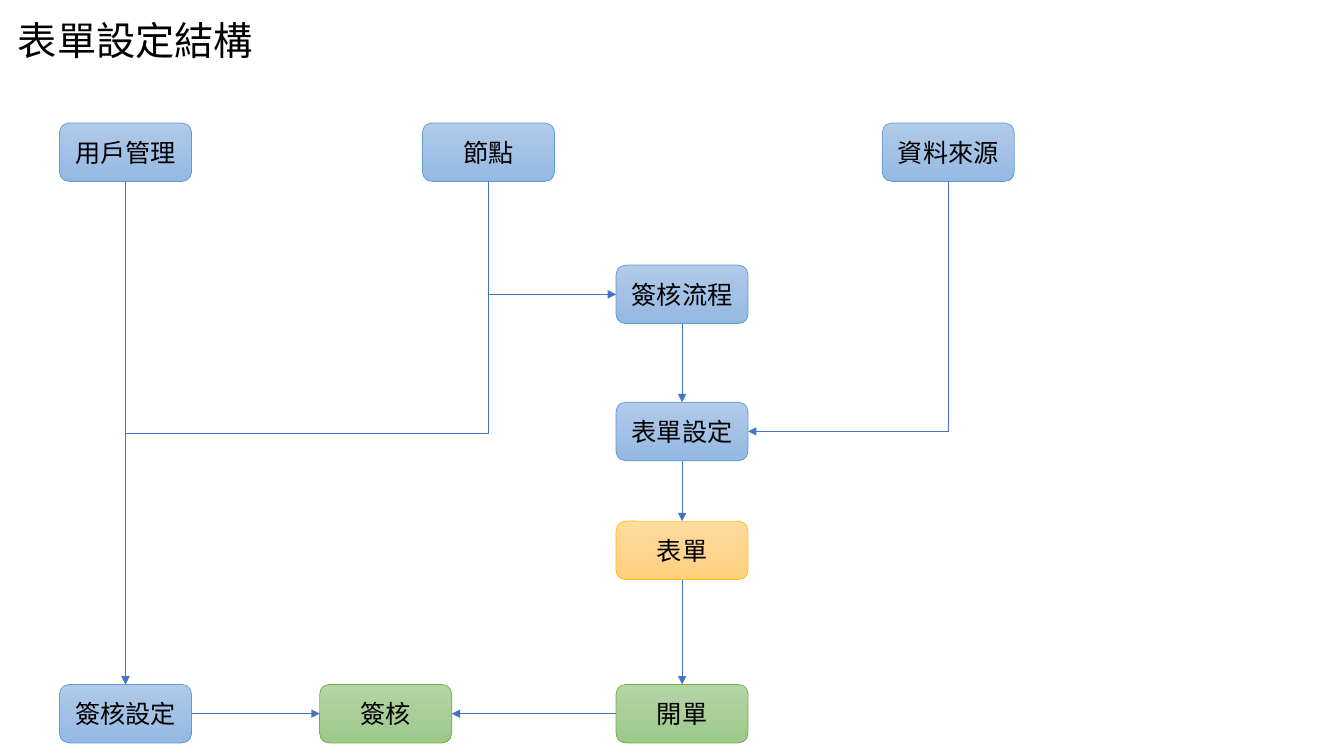
from copy import deepcopy
from dataclasses import dataclass

from pptx import Presentation
from pptx.dml.color import RGBColor
from pptx.enum.shapes import MSO_CONNECTOR as Connector, MSO_SHAPE as Shape
from pptx.enum.text import MSO_ANCHOR as Anchor, MSO_AUTO_SIZE as AutoSize, PP_ALIGN as Align
from pptx.oxml import parse_xml
from pptx.oxml.ns import nsdecls, qn
from pptx.util import Inches, Pt


@dataclass(frozen=True)
class Theme:
    font: str = "Calibri"
    title_size: int = 28
    box_size: int = 18
    line_width: float = 0.5
    text: str = "000000"
    arrow: str = "4472C4"
    # Each box style: three gradient colours from top to bottom, then the outline
    setting: tuple = ("B1CBE9", "A3C1E5", "93B9E4", "5B9BD5")
    form: tuple = ("FFDB9E", "FFD590", "FFD07C", "FFC000")
    action: tuple = ("B5D5A7", "AACE9A", "9CC987", "70AD47")


THEME = Theme()
BOX_WIDTH, BOX_HEIGHT = 1.31, 0.58
COLUMNS = (0.59, 3.17, 4.19, 6.11, 8.75)
ROWS = (1.22, 2.63, 3.99, 5.17, 6.79)
TOP, LEFT, BOTTOM, RIGHT = range(4)

# Text, column, row, style
BOXES = (
    ("表單設定", 3, 2, THEME.setting),
    ("表單", 3, 3, THEME.form),
    ("開單", 3, 4, THEME.action),
    ("簽核", 1, 4, THEME.action),
    ("簽核流程", 3, 1, THEME.setting),
    ("資料來源", 4, 0, THEME.setting),
    ("節點", 2, 0, THEME.setting),
    ("簽核設定", 0, 4, THEME.setting),
    ("用戶管理", 0, 0, THEME.setting),
)
BENT_ARROWS = (
    ("節點", "簽核設定", TOP),
    ("節點", "簽核流程", LEFT),
    ("資料來源", "表單設定", RIGHT),
)
STRAIGHT_ARROWS = (
    ("用戶管理", BOTTOM, "簽核設定", TOP),
    ("簽核流程", BOTTOM, "表單設定", TOP),
    ("表單設定", BOTTOM, "表單", TOP),
    ("表單", BOTTOM, "開單", TOP),
    ("簽核設定", RIGHT, "簽核", LEFT),
    ("開單", LEFT, "簽核", RIGHT),
)


def add_run(paragraph, text, size):
    run = paragraph.add_run()
    run.text = text
    run.font.name = THEME.font
    run.font.size = Pt(size)
    run.font.color.rgb = RGBColor.from_string(THEME.text)


def add_title(slide, text):
    box = slide.shapes.add_textbox(Inches(0.08), Inches(0.11), Inches(2.55), Inches(0.57))
    frame = box.text_frame
    frame.word_wrap = False
    frame.auto_size = AutoSize.SHAPE_TO_FIT_TEXT
    add_run(frame.paragraphs[0], text, THEME.title_size)


def fill_gradient(shape, colours):
    """Fill from top to bottom with three evenly spaced colours."""
    shape.fill.gradient()
    shape.fill.gradient_angle = 270
    stop_list = shape.element.spPr.find(qn("a:gradFill")).find(qn("a:gsLst"))
    stop_list.insert(1, deepcopy(stop_list[0]))
    for index, (stop, colour) in enumerate(zip(shape.fill.gradient_stops, colours)):
        stop.position = index / 2
        stop.color.rgb = RGBColor.from_string(colour)


def add_box(slide, text, column, row, style):
    *gradient, outline = style
    shape = slide.shapes.add_shape(
        Shape.ROUNDED_RECTANGLE, Inches(COLUMNS[column]), Inches(ROWS[row]),
        Inches(BOX_WIDTH), Inches(BOX_HEIGHT))
    shape.shadow.inherit = False
    fill_gradient(shape, gradient)
    shape.line.color.rgb = RGBColor.from_string(outline)
    shape.line.width = Pt(THEME.line_width)
    shape.text_frame.vertical_anchor = Anchor.MIDDLE
    paragraph = shape.text_frame.paragraphs[0]
    paragraph.alignment = Align.CENTER
    add_run(paragraph, text, THEME.box_size)
    return shape


def add_arrow(slide, source, source_side, target, target_side, kind=Connector.STRAIGHT):
    arrow = slide.shapes.add_connector(kind, 0, 0, 0, 0)
    arrow.begin_connect(source, source_side)
    arrow.end_connect(target, target_side)
    arrow.line.color.rgb = RGBColor.from_string(THEME.arrow)
    arrow.line.width = Pt(THEME.line_width)
    arrow.line._get_or_add_ln().append(
        parse_xml(f'<a:tailEnd {nsdecls("a")} type="triangle"/>'))
    arrow.element.spPr.append(parse_xml(f'<a:effectLst {nsdecls("a")}/>'))
    return arrow


def add_bent_arrow(slide, source, target, target_side):
    """Leave the source downwards, then turn towards the target."""
    arrow = add_arrow(slide, source, BOTTOM, target, target_side, Connector.ELBOW)
    across, down = arrow.end_x - arrow.begin_x, arrow.end_y - arrow.begin_y
    centre_x = (arrow.begin_x + arrow.end_x) // 2
    centre_y = (arrow.begin_y + arrow.end_y) // 2
    # The frame lies on its side, so its width runs down the slide
    arrow.width, arrow.height = down, abs(across)
    arrow.left = centre_x - arrow.width // 2
    arrow.top = centre_y - arrow.height // 2
    frame = arrow.element.spPr.find(qn("a:xfrm"))
    frame.set("rot", str((270 if across > 0 else 90) * 60000))
    frame.set("flipH", "1" if across > 0 else "0")
    frame.set("flipV", "0")
    if target_side != TOP:
        arrow.element.spPr.find(qn("a:prstGeom")).set("prst", "bentConnector2")


def main():
    presentation = Presentation()
    presentation.slide_width = Inches(13.33)
    presentation.slide_height = Inches(7.5)
    slide = presentation.slides.add_slide(presentation.slide_layouts[6])

    boxes = {box[0]: add_box(slide, *box) for box in BOXES}
    for source, target, side in BENT_ARROWS:
        add_bent_arrow(slide, boxes[source], boxes[target], side)
    for source, source_side, target, target_side in STRAIGHT_ARROWS:
        add_arrow(slide, boxes[source], source_side, boxes[target], target_side)
    add_title(slide, "表單設定結構")

    presentation.save("out.pptx")


if __name__ == "__main__":
    main()
